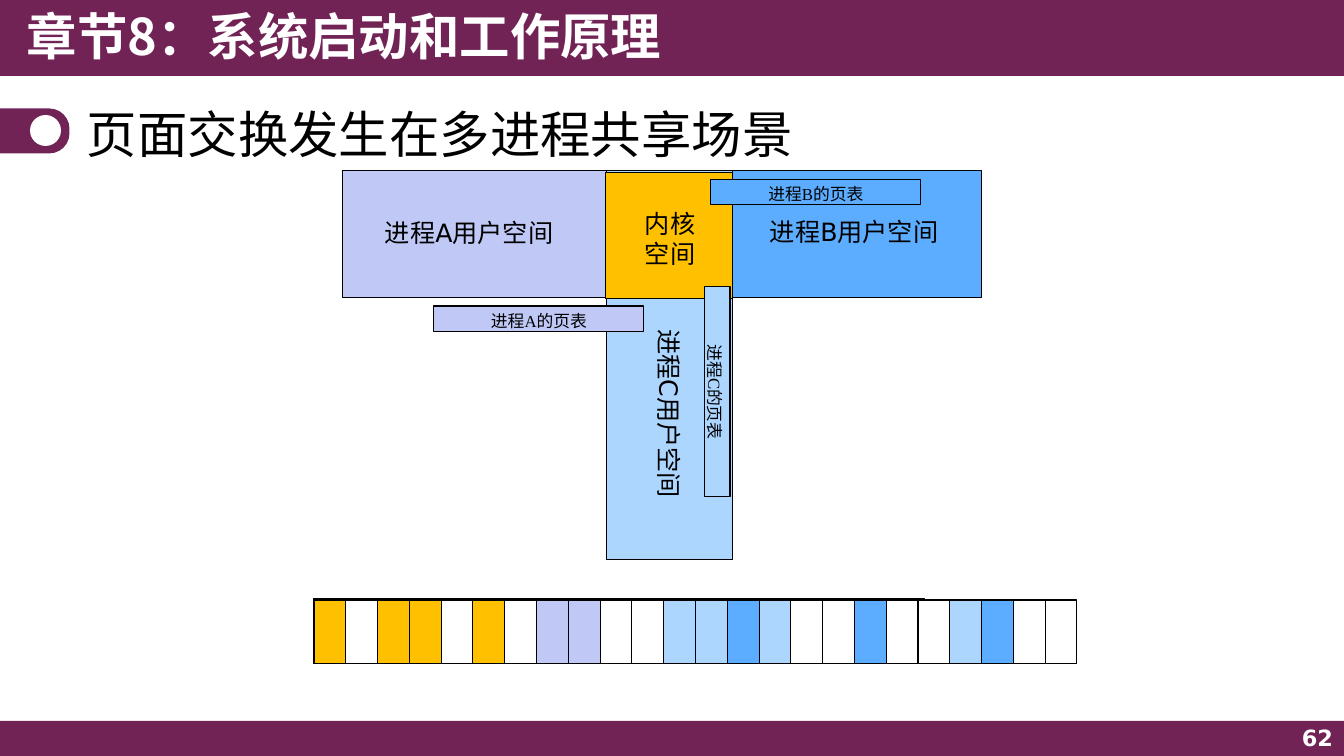
from lxml import etree
from pptx import Presentation
from pptx.dml.color import RGBColor
from pptx.enum.shapes import MSO_SHAPE
from pptx.enum.text import MSO_ANCHOR, MSO_AUTO_SIZE, PP_ALIGN
from pptx.oxml.ns import qn
from pptx.util import Pt

RECTANGLE, OVAL = MSO_SHAPE.RECTANGLE, MSO_SHAPE.OVAL
MIDDLE = MSO_ANCHOR.MIDDLE
LEFT, CENTER, RIGHT = PP_ALIGN.LEFT, PP_ALIGN.CENTER, PP_ALIGN.RIGHT
GROW = MSO_AUTO_SIZE.SHAPE_TO_FIT_TEXT

PLUM = RGBColor(0x71, 0x23, 0x55)
WHITE = RGBColor(0xFF, 0xFF, 0xFF)
BLACK = RGBColor(0, 0, 0)
KERNEL = RGBColor(0xFF, 0xC0, 0x00)
PROCESS_A = RGBColor(0xC0, 0xC9, 0xF6)
PROCESS_B = RGBColor(0x5C, 0xAD, 0xFF)
PROCESS_C = RGBColor(0xAD, 0xD6, 0xFF)

NOTO, DEJAVU, TIMES = "Noto Sans CJK SC", "DejaVu Sans", "Times New Roman"
PX = 914400 / 100.8


def add_block(kind, place, fill, outlined=True, rotation=0):
    block = page.shapes.add_shape(kind, *(round(v * PX) for v in place))
    block.shadow.inherit = False
    block.rotation = rotation
    block.fill.solid()
    block.fill.fore_color.rgb = fill
    if outlined:
        block.line.color.rgb = BLACK
        block.line.width = Pt(0.75)
    else:
        block.line.fill.background()
    return block


def write(box, text, font, size, color=BLACK, bold=False, align=LEFT, anchor=MSO_ANCHOR.TOP):
    frame = box.text_frame
    frame.word_wrap = True
    frame.vertical_anchor = anchor
    frame.text = text
    for para in frame.paragraphs:
        para.alignment = align
        for span in para.runs:
            span.font.name = font
            span.font.size = Pt(size)
            span.font.bold = bold
            span.font.color.rgb = color
            east_asian = etree.SubElement(span.font._element, qn("a:ea"))
            east_asian.set("typeface", NOTO)


deck = Presentation()
deck.slide_width = round(1344 * PX)
deck.slide_height = round(756 * PX)
page = deck.slides.add_slide(deck.slide_layouts[6])

# Header and footer bars
add_block(RECTANGLE, (0, 721, 1344, 36), PLUM, outlined=False)
add_block(RECTANGLE, (-3, 0, 1347, 76), PLUM, outlined=False)

# Title marker: a tab with a rounded right end
tab = add_block(MSO_SHAPE.ROUND_2_SAME_RECTANGLE, (12, 96, 45, 70), PLUM, False, 90)
tab.adjustments[0] = 0.45
add_block(OVAL, (30, 115, 31, 31), WHITE, outlined=False)

# Headings and page number
for place, text, font, size, color, bold, align, anchor in [
    ((17, 0, 766, 78), "章节8：系统启动和工作原理", NOTO, 36, WHITE, True, LEFT, MSO_ANCHOR.TOP),
    ((1041, 720, 302, 36), "62", DEJAVU, 16, WHITE, True, RIGHT, MIDDLE),
    ((77, 96, 1190, 75), "页面交换发生在多进程共享场景", NOTO, 36, BLACK, False, LEFT, MIDDLE),
]:
    box = page.shapes.add_textbox(*(round(v * PX) for v in place))
    write(box, text, font, size, color, bold, align, anchor)

# Address spaces, overlapping in the kernel
for place, fill, rotation in [
    ((593, 171, 389, 127), PROCESS_B, 0),
    ((343, 171, 389, 127), PROCESS_A, 0),
    ((475, 302, 389, 127), PROCESS_C, 90),
    ((606, 172, 126, 127), KERNEL, 90),
]:
    add_block(RECTANGLE, place, fill, rotation=rotation)

for place, text, rotation in [
    ((375, 212, 195, 40), "进程A用户空间", 0),
    ((760, 211, 195, 40), "进程B用户空间", 0),
    ((572, 397, 195, 40), "进程C用户空间", 90),
    ((635, 203, 102, 72), "内核\n空间", 0),
]:
    label = page.shapes.add_textbox(*(round(v * PX) for v in place))
    label.rotation = rotation
    write(label, text, DEJAVU, 18)
    label.text_frame.auto_size = GROW

# Page tables
for place, text, fill, rotation in [
    ((434, 306, 210, 26), "进程A的页表", PROCESS_A, 0),
    ((612, 379, 210, 26), "进程C的页表", PROCESS_C, 90),
    ((711, 179, 210, 26), "进程B的页表", PROCESS_B, 0),
]:
    table = add_block(RECTANGLE, place, fill, rotation=rotation)
    write(table, text, TIMES, 12, align=CENTER)

# Physical memory: one letter per frame, "." is free
FRAMES = "K.KK.K.AA..CCBC..B..CB.."
OWNERS = {"K": KERNEL, "A": PROCESS_A, "B": PROCESS_B, "C": PROCESS_C, ".": WHITE}
MEMORY_LEFT, MEMORY_WIDTH = 314, 763
frame_width = MEMORY_WIDTH / len(FRAMES)
add_block(RECTANGLE, (MEMORY_LEFT, 599, 611, 65), WHITE)
for index, owner in enumerate(FRAMES):
    left = MEMORY_LEFT + index * frame_width
    add_block(RECTANGLE, (left, 600, frame_width, 64), OWNERS[owner])

deck.save("out.pptx")
